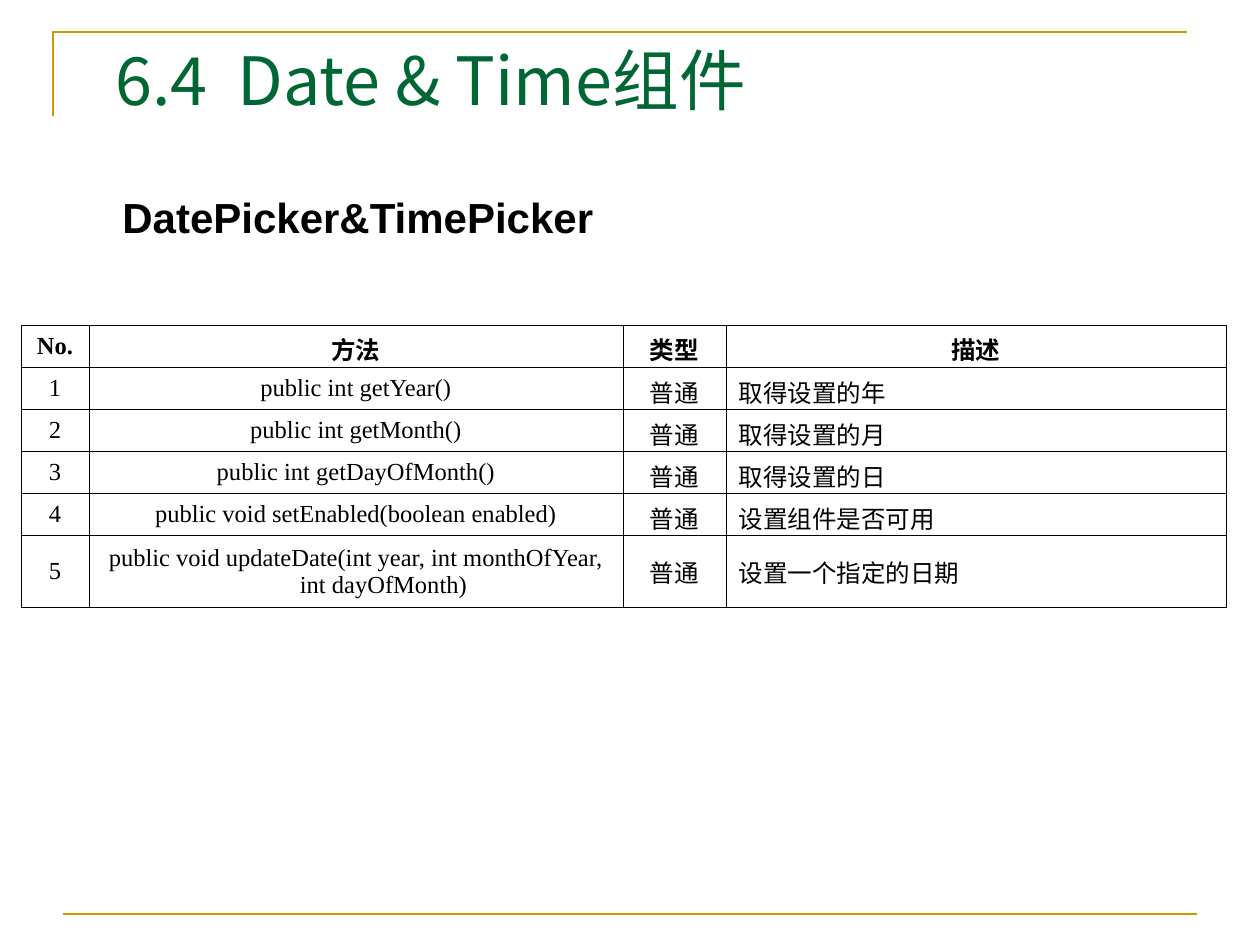
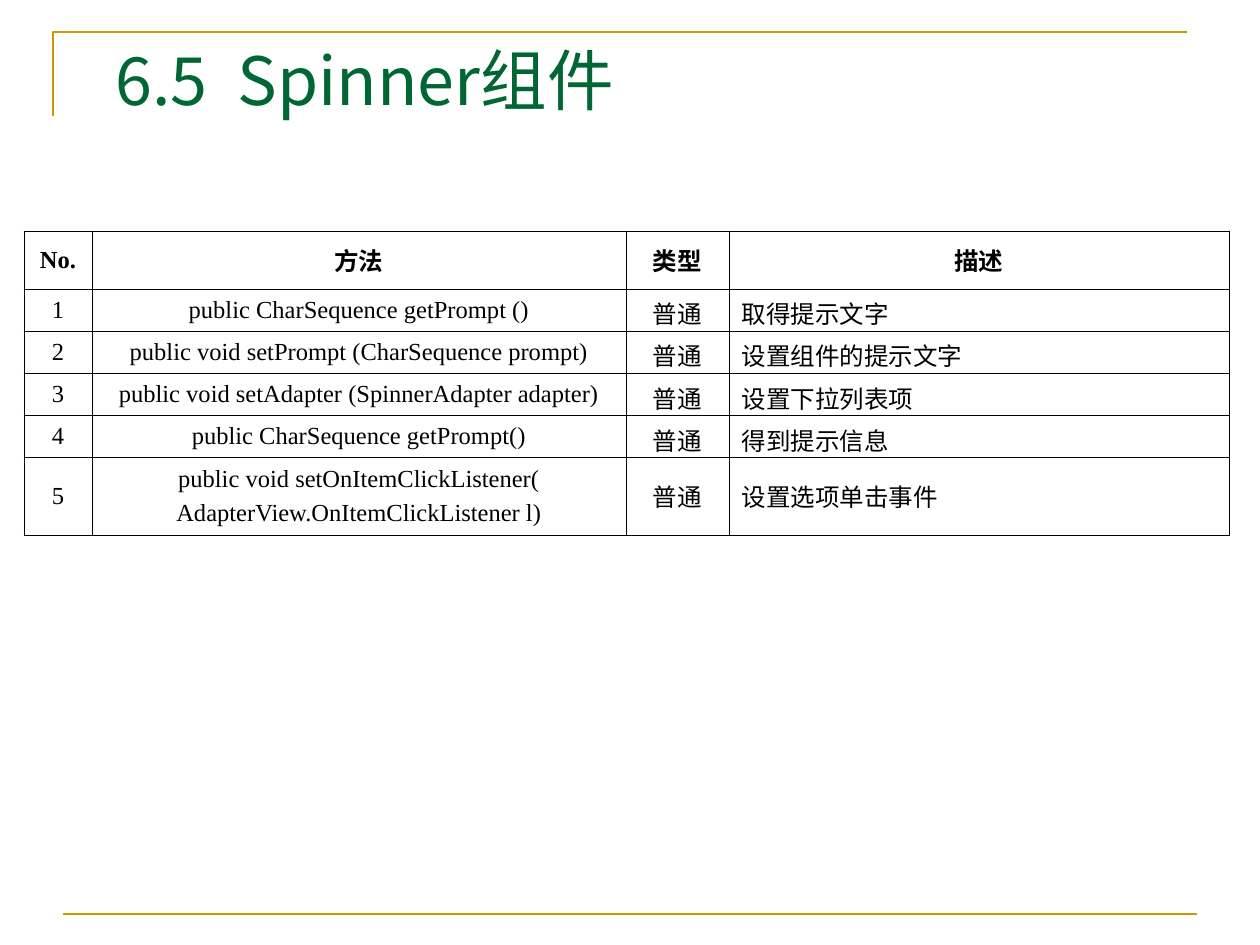
from dataclasses import dataclass

from lxml.etree import SubElement
from pptx import Presentation
from pptx.dml.color import RGBColor
from pptx.enum.text import MSO_ANCHOR, MSO_AUTO_SIZE, PP_ALIGN
from pptx.oxml.ns import qn
from pptx.util import Emu, Pt


@dataclass(frozen=True)
class Theme:
    """Colours, fonts and type sizes shared by the slides."""

    gold: str = "CC9900"
    green: str = "006633"
    black: str = "000000"
    title_font: str = "Noto Sans CJK SC"
    heading_font: str = "Arial"
    table_font: str = "Times New Roman"
    title_size: int = 38
    heading_size: int = 24
    table_size: int = 14
    rule_width: float = 1.5
    border_width: float = 0.45


THEME = Theme()
PX_PER_INCH = 126
COLUMN_WIDTHS = (68, 534, 103, 500)
ROW_HEIGHT = 42
HANGING_INDENT = 55
HEADERS = ("No.", "方法", "类型", "描述")
METHOD_TYPE = "普通"

DATE_METHODS = (
    ("public int getYear()", "取得设置的年"),
    ("public int getMonth()", "取得设置的月"),
    ("public int getDayOfMonth()", "取得设置的日"),
    ("public void setEnabled(boolean enabled)", "设置组件是否可用"),
    ("public void updateDate(int year, int monthOfYear, int dayOfMonth)", "设置一个指定的日期"),
)
SPINNER_METHODS = (
    ("public CharSequence getPrompt ()", "取得提示文字"),
    ("public void setPrompt (CharSequence prompt)", "设置组件的提示文字"),
    ("public void setAdapter (SpinnerAdapter adapter)", "设置下拉列表项"),
    ("public CharSequence getPrompt()", "得到提示信息"),
    ("public void setOnItemClickListener(\nAdapterView.OnItemClickListener l)", "设置选项单击事件"),
)


def px(n):
    """Turn whole pixels into EMU."""
    return Emu(round(n * 914400 / PX_PER_INCH))


def write(tf, text, *, font, size, color, bold=False, align=PP_ALIGN.LEFT,
          line_spacing=None, space_after=None, hanging=0):
    """Fill a text frame with one paragraph per line of text."""
    for i, line in enumerate(text.split("\n")):
        p = tf.add_paragraph() if i else tf.paragraphs[0]
        p.alignment = align
        if line_spacing:
            p.line_spacing = line_spacing
        if space_after:
            p.space_after = Pt(space_after)
        if hanging:
            pPr = p._p.get_or_add_pPr()
            pPr.set("marL", str(px(hanging)))
            pPr.set("indent", str(-px(hanging)))
        r = p.add_run()
        r.text = line
        r.font.name = font
        r.font.size = Pt(size)
        r.font.bold = bold
        r.font.color.rgb = RGBColor.from_string(color)
        SubElement(r._r.get_or_add_rPr(), qn("a:ea"), typeface=THEME.title_font)


def style_rule(shape):
    """Give a frame rule its colour and width."""
    shape.line.color.rgb = RGBColor.from_string(THEME.gold)
    shape.line.width = Pt(THEME.rule_width)


def add_frame(s, left, top, width, height):
    """Draw the corner rule at the top and the rule at the foot."""
    fb = s.shapes.build_freeform(px(left), px(top + 84))
    fb.add_line_segments([(px(left), px(top)), (px(left + width), px(top))], close=False)
    corner = fb.convert_to_shape()
    corner.fill.background()
    corner.shadow.inherit = False
    style_rule(corner)
    foot_left, foot_y = left + 10, top + height
    foot = s.shapes.add_connector(1, px(foot_left), px(foot_y), px(foot_left + width), px(foot_y))
    style_rule(foot)
    SubElement(foot._element.spPr, qn("a:effectLst"))


def add_title(s, text, left, top, width, height):
    """Place the slide title."""
    tf = s.shapes.add_textbox(px(left), px(top), px(width), px(height)).text_frame
    tf.word_wrap = True
    write(tf, text, font=THEME.title_font, size=THEME.title_size,
          color=THEME.green, line_spacing=0.9)


def add_heading(s, text, left, top, width, height):
    """Place a bold heading whose box fits its text."""
    tf = s.shapes.add_textbox(px(left), px(top), px(width), px(height)).text_frame
    tf.word_wrap = False
    tf.auto_size = MSO_AUTO_SIZE.SHAPE_TO_FIT_TEXT
    write(tf, text, font=THEME.heading_font, size=THEME.heading_size,
          color=THEME.black, bold=True)


def add_borders(cell):
    """Draw thin lines on all four sides of a cell."""
    tcPr = cell._tc.get_or_add_tcPr()
    for i, side in enumerate(("lnL", "lnR", "lnT", "lnB")):
        ln = SubElement(tcPr, qn(f"a:{side}"), w=str(Pt(THEME.border_width)))
        fill = SubElement(ln, qn("a:solidFill"))
        SubElement(fill, qn("a:srgbClr"), val=THEME.black)
        tcPr.remove(ln)
        tcPr.insert(i, ln)


def add_method_table(s, methods, left, top, header_height, last_height):
    """Build the numbered table of methods."""
    rows = [HEADERS] + [(str(n), method, METHOD_TYPE, note)
                        for n, (method, note) in enumerate(methods, 1)]
    heights = [header_height] + [ROW_HEIGHT] * (len(methods) - 1) + [last_height]
    gf = s.shapes.add_table(len(rows), len(HEADERS), px(left), px(top),
                            px(sum(COLUMN_WIDTHS)), px(sum(heights)))
    table = gf.table
    table.horz_banding = False
    for column, width in zip(table.columns, COLUMN_WIDTHS):
        column.width = px(width)
    for i, (row, height) in enumerate(zip(rows, heights)):
        table.rows[i].height = px(height)
        for j, text in enumerate(row):
            cell = table.cell(i, j)
            cell.vertical_anchor = MSO_ANCHOR.MIDDLE
            if height == ROW_HEIGHT and not text.isascii():
                cell.margin_bottom = 0
            cell.fill.background()
            add_borders(cell)
            is_note = i > 0 and j == len(HEADERS) - 1
            write(cell.text_frame, text, font=THEME.table_font, size=THEME.table_size,
                  color=THEME.black, bold=i == 0, space_after=3.5, hanging=HANGING_INDENT,
                  align=PP_ALIGN.LEFT if is_note else PP_ALIGN.CENTER)


def add_base_slide(prs, title):
    """Add a slide with the shared frame and title."""
    s = prs.slides.add_slide(prs.slide_layouts[6])
    add_frame(s, 53, 32, 1134, 882)
    add_title(s, title, 103, 42, 1134, 94)
    return s


def main():
    """Build and save the presentation."""
    prs = Presentation()
    prs.slide_width, prs.slide_height = px(1260), px(945)
    s = add_base_slide(prs, "6.4  Date & Time组件")
    add_heading(s, "DatePicker&TimePicker", 110, 185, 496, 63)
    add_method_table(s, DATE_METHODS, 21, 325, ROW_HEIGHT, 72)
    s = add_base_slide(prs, "6.5  Spinner组件")
    add_method_table(s, SPINNER_METHODS, 24, 231, 58, 78)
    prs.save("out.pptx")


if __name__ == "__main__":
    main()
